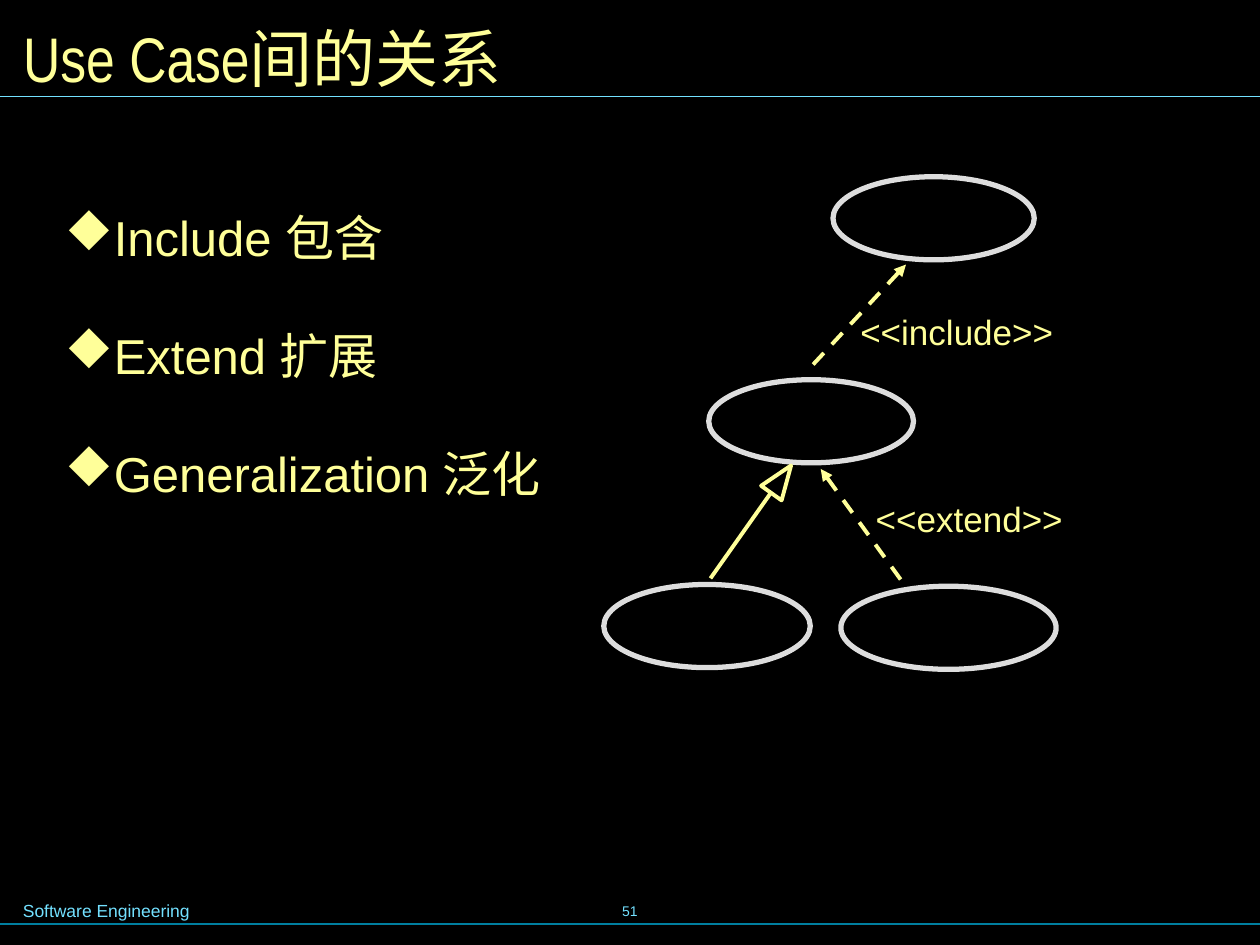
from lxml import etree
from pptx import Presentation
from pptx.dml.color import RGBColor
from pptx.enum import dml, shapes, text
from pptx.oxml import ns
from pptx.util import Pt

COLORS = {"back": "000000", "text": "FFFF99", "outline": "DDDDDD",
          "accent": "73E1FF", "rule": "007E9F"}
PAGE_WIDTH, PAGE_HEIGHT = 720, 540
ELLIPSE_HEIGHT = 47.5


def color(name):
    return RGBColor.from_string(COLORS[name])


def add_child(parent, tag, **attributes):
    return etree.SubElement(parent, ns.qn(tag), attributes)


def format_text(shape, size, name, font="Arial", inset=(7.2, 3.6)):
    frame = shape.text_frame
    frame.margin_left = frame.margin_right = Pt(inset[0])
    frame.margin_top = frame.margin_bottom = Pt(inset[1])
    for para in frame.paragraphs:
        for span in para.runs:
            span.font.size = Pt(size)
            span.font.name = font
            span.font.color.rgb = color(name)


def add_text(page, box, content, size, name, inset=(7.2, 3.6)):
    shape = page.shapes.add_textbox(*map(Pt, box))
    shape.text_frame.text = content
    shape.text_frame.word_wrap = True
    format_text(shape, size, name, inset=inset)
    return shape


def add_line(page, start, end, name, width, dashed=False, arrow=False):
    line = page.shapes.add_connector(
        shapes.MSO_CONNECTOR.STRAIGHT, *map(Pt, (*start, *end)))
    line.line.color.rgb = color(name)
    line.line.width = Pt(width)
    if dashed:
        line.line.dash_style = dml.MSO_LINE.DASH
    if arrow:
        add_child(line.line._get_or_add_ln(), "a:headEnd", type="triangle")
    add_child(line._element.spPr, "a:effectLst")


def add_outline(page, kind, box, name, width):
    shape = page.shapes.add_shape(kind, *map(Pt, box))
    shape.shadow.inherit = False
    shape.fill.background()
    shape.line.color.rgb = color(name)
    shape.line.width = Pt(width)
    return shape


def add_header(page, box):
    left, top, width, height = box
    title = page.shapes.title
    title.left, title.top, title.width, title.height = map(Pt, box)
    frame = title.text_frame
    frame.text = "Use Case间的关系"
    frame.auto_size = text.MSO_AUTO_SIZE.NONE
    frame.vertical_anchor = text.MSO_ANCHOR.MIDDLE
    frame.paragraphs[0].alignment = text.PP_ALIGN.LEFT
    format_text(title, 36, "text", "Arial Narrow")
    rule_y = top + height - 5
    add_line(page, (0, rule_y), (PAGE_WIDTH, rule_y), "accent", 0.75)


def add_relations(page, box):
    items = ["Include 包含", "Extend 扩展", "Generalization 泛化"]
    shape = add_text(page, box, "\n".join(items), 28, "text", inset=(8.64, 4.32))
    for index, para in enumerate(shape.text_frame.paragraphs):
        if index:
            para.space_before = Pt(34)
        properties = para._p.get_or_add_pPr()
        properties.set("marL", str(Pt(27)))
        properties.set("indent", str(-Pt(27)))
        bullet_color = add_child(properties, "a:buClr")
        add_child(bullet_color, "a:srgbClr", val=COLORS["text"])
        add_child(properties, "a:buFont", typeface="Wingdings", charset="2")
        add_child(properties, "a:buChar", char="u")


def add_diagram(page, box):
    left, top = box[:2]

    def point(x, y):
        return left + x, top + y

    for x, y, width in [(60, 116, 117), (0, 233, 118), (131, 0, 115), (135.5, 234, 123)]:
        add_outline(page, shapes.MSO_SHAPE.OVAL,
                    (*point(x, y), width, ELLIPSE_HEIGHT), "outline", 3)

    dependencies = [
        ("<<include>>", (172.7, 50.2), (116.5, 110.7), (138, 72)),
        ("<<extend>>", (124, 167), (171, 232), (146.8, 179)),
    ]
    for label, target, source, corner in dependencies:
        add_line(page, point(*target), point(*source), "text", 2.25,
                 dashed=True, arrow=True)
        add_text(page, (*point(*corner), 136, 32), label, 20, "text",
                 inset=(8.64, 4.32))

    add_line(page, point(61, 229.5), point(95.6, 180.5), "text", 2.25)
    head = add_outline(page, shapes.MSO_SHAPE.ISOSCELES_TRIANGLE,
                       (*point(94.2, 163.2), 14.4, 19.4), "text", 2.25)
    head.rotation = 35.5


def add_footer(page, box):
    left, top, width, height = box
    rule_y = top + height
    add_line(page, (left, rule_y), (left + width, rule_y), "rule", 0.75)
    add_text(page, (left + 6, top + 8.5, 212, 19), "Software Engineering", 10, "accent")
    number = add_text(page, (left + 246, top, 228, 36), "51", 8, "accent")
    number.text_frame.vertical_anchor = text.MSO_ANCHOR.MIDDLE
    number.text_frame.paragraphs[0].alignment = text.PP_ALIGN.CENTER


def main():
    deck = Presentation()
    deck.slide_width, deck.slide_height = Pt(PAGE_WIDTH), Pt(PAGE_HEIGHT)
    page = deck.slides.add_slide(deck.slide_layouts.get_by_name("Title Only"))
    page.background.fill.solid()
    page.background.fill.fore_color.rgb = color("back")
    add_header(page, (6, 6, 708, 54))
    add_relations(page, (28.5, 114, 325, 228))
    add_diagram(page, (345, 101, 258.5, 281.5))
    add_footer(page, (0, 502.5, PAGE_WIDTH, 25.5))
    deck.save("out.pptx")


if __name__ == "__main__":
    main()
